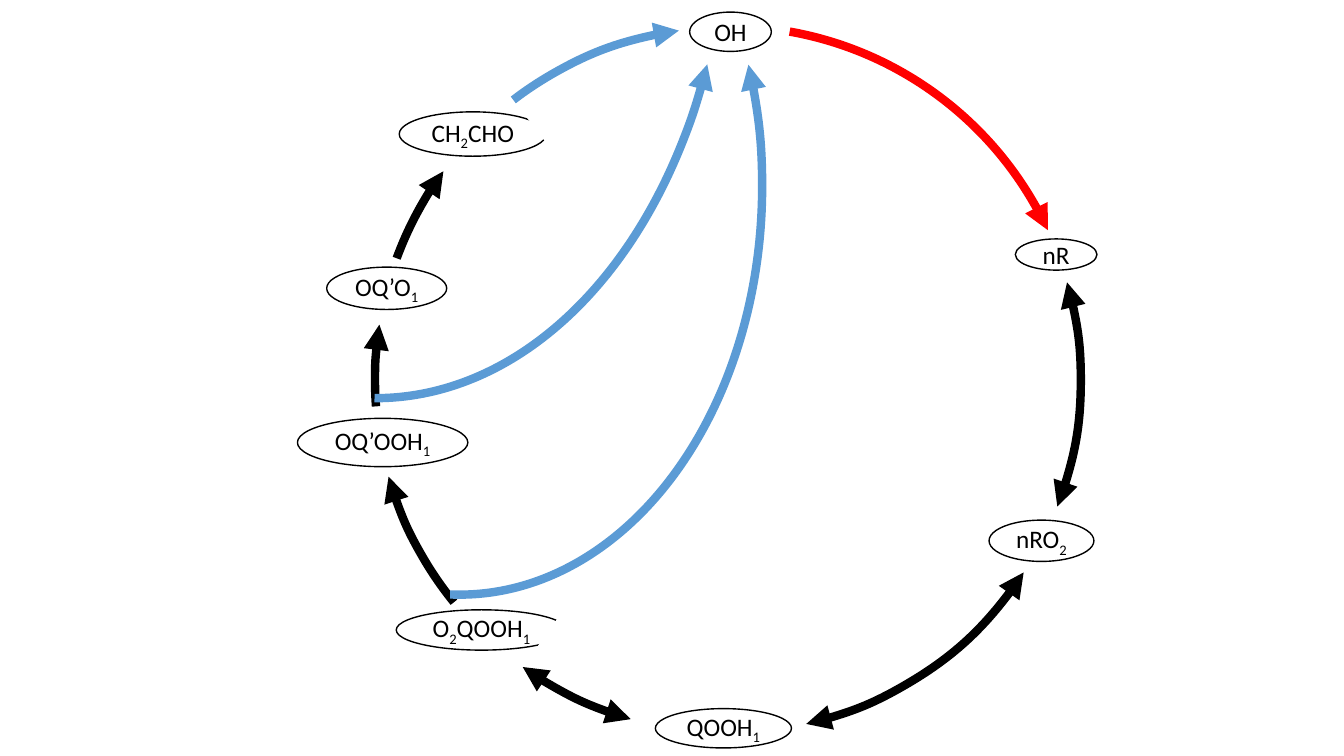
from dataclasses import dataclass

from lxml import etree
from pptx import Presentation
from pptx import util as u
from pptx.dml.color import RGBColor
from pptx.enum import shapes, text
from pptx.oxml.ns import qn


@dataclass(frozen=True)
class Theme:
    font: str = "Calibri"
    size: float = 18
    outline: float = 1
    arrow: float = 6
    black: str = "000000"
    white: str = "FFFFFF"
    red: str = "FF0000"
    blue: str = "5B9BD5"


theme = Theme()

# Species: label (parts between underscores are subscripts), left, top, width, height
species = [
    ("OH", 6.84, 0.12, 0.81, 0.39),
    ("nR", 10.07, 2.37, 0.81, 0.31),
    ("nRO_2", 9.81, 5.16, 1.04, 0.41),
    ("QOOH_1", 6.5, 7.03, 1.35, 0.39),
    ("O_2_QOOH_1", 3.93, 6.05, 1.69, 0.4),
    ("OQ’OOH_1", 2.95, 4.15, 1.69, 0.48),
    ("OQ’O_1", 3.24, 2.65, 1.19, 0.42),
    ("CH_2_CHO", 3.96, 1.11, 1.46, 0.44),
]

# Reactions: oval, start and end in degrees clockwise, arrowheads, colour, fill
cycle = (3.72, 0.27, 7, 7)
one_way, both_ways, backward = ("tailEnd",), ("headEnd", "tailEnd"), ("headEnd",)
reactions = [
    ((3.72, 0.26, 7, 7), 280.08, 335.06, one_way, theme.red, theme.white),
    (cycle, 343.94, 21.02, both_ways, theme.black, theme.white),
    (cycle, 33.06, 77.17, both_ways, theme.black, theme.white),
    (cycle, 105.99, 125.55, both_ways, theme.black, theme.white),
    (cycle, 140.94, 164.08, one_way, theme.black, theme.white),
    (cycle, 175.71, 189.02, one_way, theme.black, theme.white),
    (cycle, 200.18, 216.27, one_way, theme.black, theme.white),
    (cycle, 232.54, 262, one_way, theme.blue, theme.white),
    ((1.56, -2.2, 6, 8.1), 337.14, 91.34, backward, theme.blue, None),
    ((0.23, -6.05, 6.99, 10), 27.18, 90.12, backward, theme.blue, None),
]

ADJUSTMENT_PER_DEGREE = 0.6  # 60000 angle units over the 100000 adjustment scale


def add_outlined(slide, kind, box, fill, colour, width):
    shape = slide.shapes.add_shape(kind, *map(u.Inches, box))
    shape.shadow.inherit = False
    if fill:
        shape.fill.solid()
        shape.fill.fore_color.rgb = RGBColor.from_string(fill)
    else:
        shape.fill.background()
    shape.line.color.rgb = RGBColor.from_string(colour)
    shape.line.width = u.Pt(width)
    return shape


def add_species(slide, label, *box):
    shape = add_outlined(slide, shapes.MSO_SHAPE.OVAL, box,
                         theme.white, theme.black, theme.outline)
    frame = shape.text_frame
    frame.word_wrap = False
    frame.vertical_anchor = text.MSO_ANCHOR.MIDDLE
    paragraph = frame.paragraphs[0]
    paragraph.alignment = text.PP_ALIGN.CENTER
    for index, part in enumerate(label.split("_")):
        run = paragraph.add_run()
        run.text = part
        run.font.name = theme.font
        run.font.size = u.Pt(theme.size)
        run.font.color.rgb = RGBColor.from_string(theme.black)
        if index % 2:
            run.font._element.set("baseline", "-25000")


def add_reaction(slide, box, start, end, heads, colour, fill):
    arc = add_outlined(slide, shapes.MSO_SHAPE.ARC, box, fill, colour, theme.arrow)
    for index, angle in enumerate((start, end)):
        arc.adjustments[index] = angle * ADJUSTMENT_PER_DEGREE
    line = arc._element.spPr.find(qn("a:ln"))
    for head in heads:
        etree.SubElement(line, qn(f"a:{head}"), type="triangle")


# Slide
presentation = Presentation()
presentation.slide_width = u.Inches(13.33)
presentation.slide_height = u.Inches(7.5)
slide = presentation.slides.add_slide(presentation.slide_layouts[6])

# Species first, reaction arrows in front
for entry in species:
    add_species(slide, *entry)
for entry in reactions:
    add_reaction(slide, *entry)

presentation.save("out.pptx")
